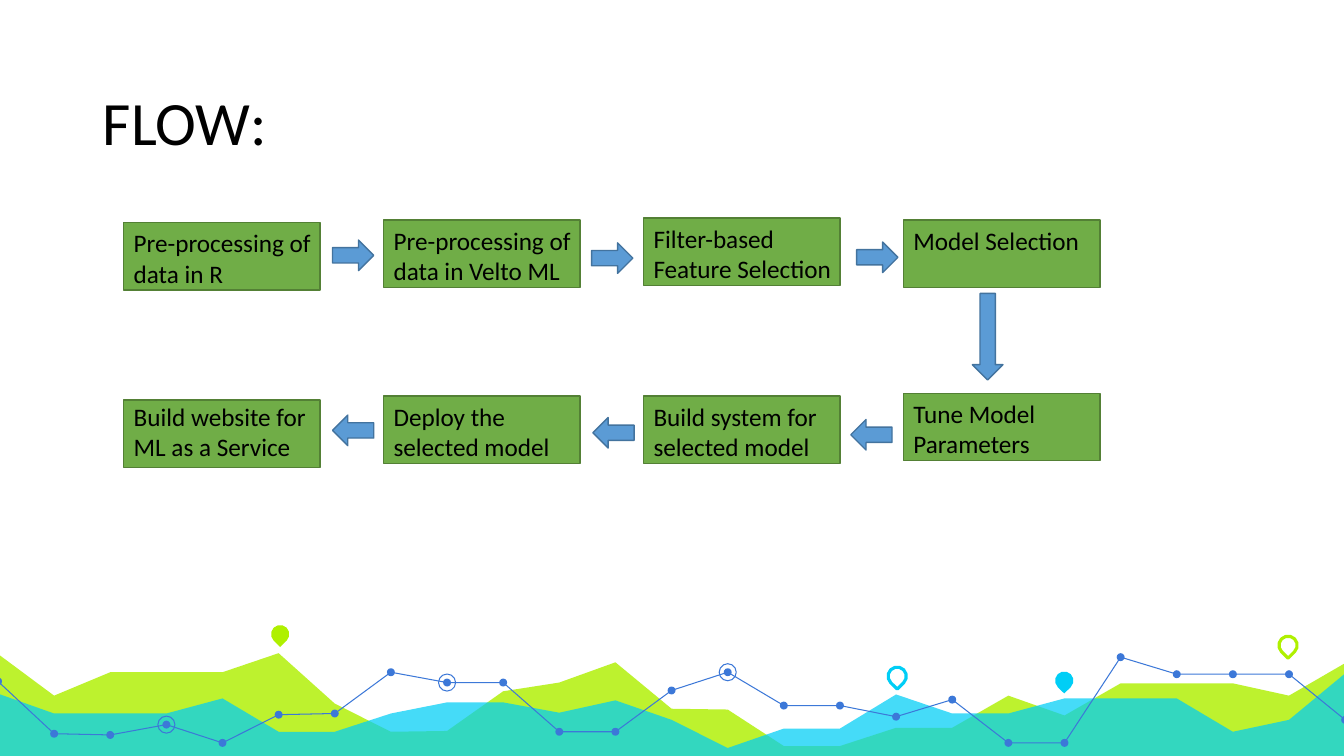
from lxml.etree import SubElement
from pptx import Presentation
from pptx.dml.color import RGBColor
from pptx.enum.shapes import MSO_SHAPE
from pptx.enum.text import MSO_ANCHOR, PP_ALIGN
from pptx.oxml.ns import qn
from pptx.util import Cm, Pt

LIME = RGBColor(0xAF, 0xF0, 0x00)
CYAN = RGBColor(0x00, 0xCE, 0xF6)
BLUE = RGBColor(0x3C, 0x78, 0xD8)
GREEN = RGBColor(0x70, 0xAD, 0x47)
DARK_GREEN = RGBColor(0x53, 0x80, 0x35)
ARROW_BLUE = RGBColor(0x5B, 0x9B, 0xD5)
ARROW_EDGE = RGBColor(0x43, 0x73, 0x9E)
BLACK = RGBColor(0x00, 0x00, 0x00)


def paint(sp, fill=None, line=None, width=1):
    sp.shadow.inherit = False
    if fill is None:
        sp.fill.background()
    else:
        sp.fill.solid()
        sp.fill.fore_color.rgb = fill
    if line is None:
        sp.line.fill.background()
    else:
        sp.line.color.rgb = line
        sp.line.width = Pt(width)


def write(tf, text, size):
    tf.word_wrap = True
    p = tf.paragraphs[0]
    p.alignment = PP_ALIGN.LEFT
    r = p.add_run()
    r.text = text
    r.font.name = "Calibri"
    r.font.size = Pt(size)
    r.font.color.rgb = BLACK
    return p


prs = Presentation()
prs.slide_width, prs.slide_height = Cm(33.87), Cm(19.05)
s = prs.slides.add_slide(prs.slide_layouts[6])
shapes = s.shapes

xs = [33.95 * i / 24 - 0.05 for i in range(25)]
lime_ys = [16.48, 17.53, 16.94, 16.94, 16.94, 16.46, 17.73, 18.44, 18.42,
           17.42, 17.2, 16.69, 17.86, 17.88, 18.8, 18.8, 18.34, 18.34,
           17.53, 18.03, 17.22, 17.22, 17.22, 17.53, 16.71]
cyan_ys = [17.48, 17.98, 17.98, 17.98, 17.6, 18.44, 18.44, 17.98, 17.7,
           17.7, 17.96, 17.65, 18.14, 18.85, 18.36, 18.36, 17.5, 17.98,
           17.98, 17.6, 17.6, 17.6, 18.44, 18.14, 16.97]
dot_ys = [17.17, 18.49, 18.52, 18.26, 18.72, 18.01, 17.98, 16.94, 17.2,
          17.2, 18.44, 18.44, 17.4, 16.94, 17.78, 17.78, 18.06, 17.63,
          18.72, 18.72, 16.56, 16.99, 16.99, 16.99, 18.14]

for ys, color, alpha in [(lime_ys, LIME, 82), (cyan_ys, CYAN, 73)]:
    points = [(Cm(x), Cm(y)) for x, y in zip(xs, ys)]
    points += [(Cm(xs[-1]), Cm(19.1)), (Cm(xs[0]), Cm(19.1))]
    area = shapes.build_freeform(*points[0])
    area.add_line_segments(points[1:], close=True)
    sp = area.convert_to_shape()
    paint(sp, color)
    clr = sp.fill._xPr.find(qn("a:solidFill"))[0]
    SubElement(clr, qn("a:alpha")).set("val", str(alpha * 1000))

for x, y, fill, line in [(6.83, 15.75, LIME, None), (22.38, 16.81, None, CYAN),
                         (26.59, 16.92, CYAN, None), (32.23, 16.03, None, LIME)]:
    sp = shapes.add_shape(MSO_SHAPE.TEAR, Cm(x), Cm(y), Cm(0.46), Cm(0.46))
    sp.rotation = 135
    paint(sp, fill, line, 2.25)

dots = list(zip(xs, dot_ys))
for first, last in [(0, 11), (11, 20), (20, 24)]:
    points = [(Cm(x), Cm(y)) for x, y in dots[first:last + 1]]
    trend = shapes.build_freeform(*points[0])
    trend.add_line_segments(points[1:], close=False)
    paint(trend.convert_to_shape(), None, BLUE, 0.75)

markers = [(x, y, 0.2, BLUE, None) for x, y in dots]
markers += [(*dots[i], 0.43, None, BLUE) for i in (3, 8, 13)]
for x, y, size, fill, line in markers:
    sp = shapes.add_shape(MSO_SHAPE.OVAL, Cm(x - size / 2), Cm(y - size / 2),
                          Cm(size), Cm(size))
    paint(sp, fill, line, 0.75)

title = shapes.add_textbox(Cm(2.26), Cm(1.93), Cm(25.07), Cm(2.41))
tf = title.text_frame
tf.margin_left = tf.margin_right = tf.margin_top = tf.margin_bottom = Cm(0.33)
tf.vertical_anchor = MSO_ANCHOR.BOTTOM
write(tf, "FLOW:", 44).line_spacing = 0.9

steps = [
    (0, 5.61, "Pre-processing of data in R"),
    (1, 5.54, "Pre-processing of data in Velto ML"),
    (2, 5.49, "Filter-based Feature Selection"),
    (3, 5.54, "Model Selection"),
    (3, 9.91, "Tune Model Parameters"),
    (2, 9.98, "Build system for selected model"),
    (1, 9.98, "Deploy the selected model"),
    (0, 10.08, "Build website for ML as a Service"),
]
for col, y, text in steps:
    sp = shapes.add_shape(MSO_SHAPE.RECTANGLE, Cm(3.12 + 6.55 * col), Cm(y),
                          Cm(4.95), Cm(1.7))
    paint(sp, GREEN, DARK_GREEN)
    tf = sp.text_frame
    tf.vertical_anchor = MSO_ANCHOR.TOP
    tf.margin_right = tf.margin_bottom = 0
    tf.margin_top = Cm(0.03 if y > 10 else 0.13)
    write(tf, text, 18)

arrows = [
    (8.38, 6.05, 1.04, 0), (14.91, 6.12, 1.04, 0), (21.59, 6.1, 1.04, 0),
    (23.8, 8.1, 2.18, 90),
    (21.44, 10.57, 1.04, 180), (14.94, 10.52, 1.04, 180), (8.38, 10.46, 1.04, 180),
]
for x, y, length, angle in arrows:
    sp = shapes.add_shape(MSO_SHAPE.RIGHT_ARROW, Cm(x), Cm(y), Cm(length), Cm(0.77))
    sp.rotation = angle
    paint(sp, ARROW_BLUE, ARROW_EDGE)

prs.save("out.pptx")
